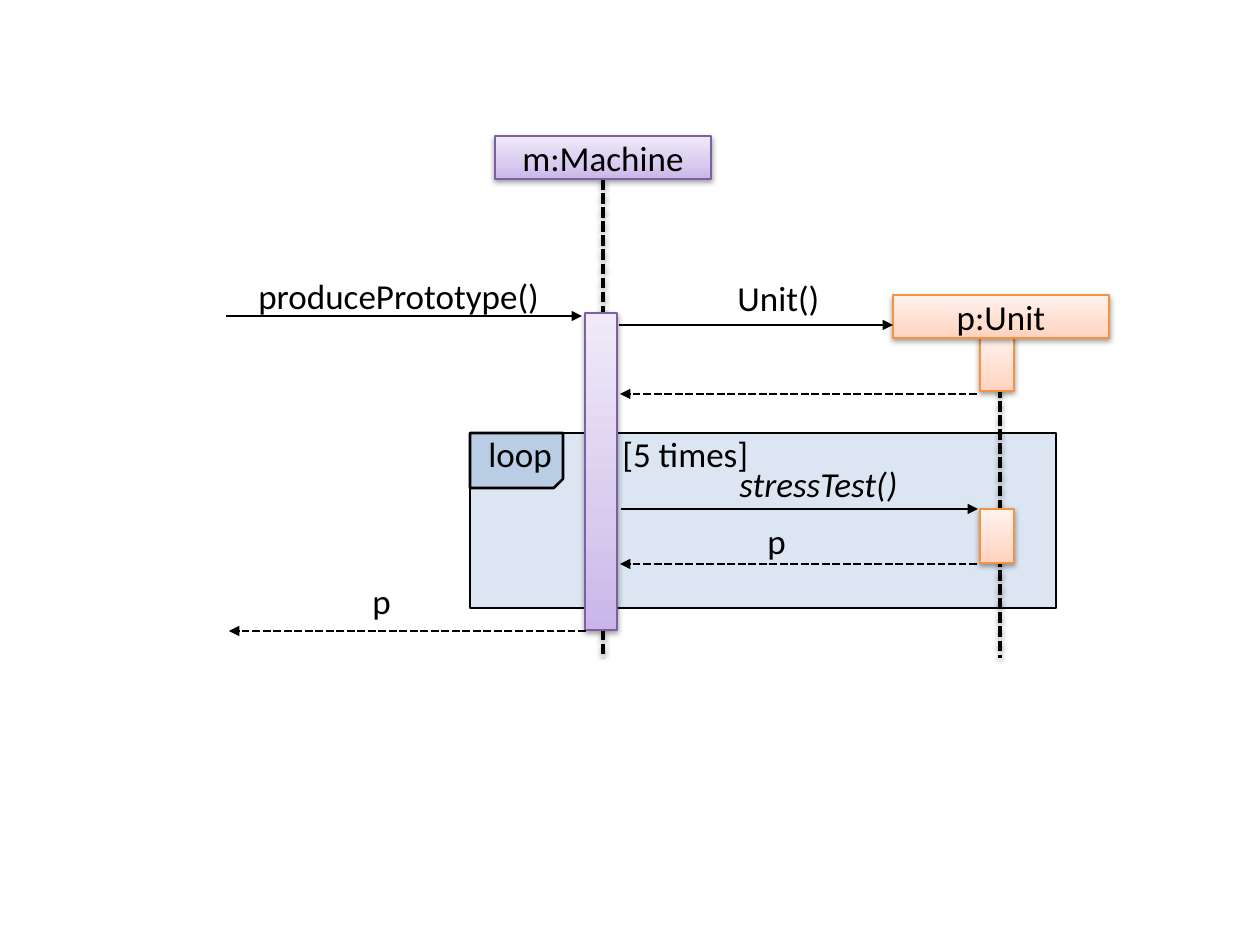
"""Build a UML sequence diagram of a machine that produces and tests a prototype unit."""
from copy import deepcopy

from lxml.etree import SubElement
from pptx import Presentation
from pptx.dml.color import RGBColor as Rgb
from pptx.enum.dml import MSO_LINE as Dash
from pptx.enum.shapes import MSO_CONNECTOR as Connector, MSO_SHAPE as Shape
from pptx.enum.text import MSO_ANCHOR as Anchor, MSO_AUTO_SIZE as AutoSize, PP_ALIGN as Align
from pptx.oxml.ns import qn
from pptx.util import Emu, Pt

PX = 914400 / 126
COLORS = {
    "ink": "000000",
    "frame": "DCE6F2",
    "tab": "B9CDE5",
    "machine": ["C9B5E8", "D8CBEE", "F0EAF9"],
    "machine_line": "7D60A0",
    "unit": ["FFD2BD", "FFDED0", "FFF2ED"],
    "unit_line": "F69240",
}
FONT = {"name": "Calibri", "size": Pt(20)}


def add_shadow(effects):
    shadow = SubElement(effects, qn("a:outerShdw"), blurRad="40000", dist="20000",
                        dir="5400000", rotWithShape="0")
    color = SubElement(shadow, qn("a:srgbClr"), val=COLORS["ink"])
    SubElement(color, qn("a:alpha"), val="38000")


def add_line(start, end, width, dashed):
    points = [Emu(round(value * PX)) for value in (*start, *end)]
    connector = page.shapes.add_connector(Connector.STRAIGHT, *points)
    connector.line.color.rgb = Rgb.from_string(COLORS["ink"])
    connector.line.width = Pt(width)
    if dashed:
        connector.line.dash_style = Dash.SQUARE_DOT
    effects = SubElement(connector._element.spPr, qn("a:effectLst"))
    return connector, effects


deck = Presentation()
deck.slide_width, deck.slide_height = Emu(round(1260 * PX)), Emu(round(945 * PX))
page = deck.slides.add_slide(deck.slide_layouts[6])

for kind, color, area in [
    (Shape.RECTANGLE, "frame", (470, 433, 586, 175)),
    (Shape.SNIP_1_RECTANGLE, "tab", (470, 433, 93, 55)),
]:
    panel = page.shapes.add_shape(kind, *[Emu(round(value * PX)) for value in area])
    panel.shadow.inherit = False
    panel.fill.solid()
    panel.fill.fore_color.rgb = Rgb.from_string(COLORS[color])
    panel.line.color.rgb = Rgb.from_string(COLORS["ink"])
    panel.line.width = Pt(1.5)
panel._element.spPr.xfrm.set("flipV", "1")

lifelines = []
for x, top in [(603, 179), (1000, 387)]:
    lifeline, effects = add_line((x, top), (x, 658), 2, True)
    add_shadow(effects)
    lifelines.append(lifeline)

boxes = {}
for name, color, text, area in [
    ("machine head", "machine", "m:Machine", (495, 136, 216, 43)),
    ("machine run", "machine", "", (585, 313, 32, 317)),
    ("unit creation", "unit", "", (980, 337, 34, 54)),
    ("unit test", "unit", "", (980, 509, 34, 54)),
    ("unit head", "unit", "p:Unit", (893, 295, 216, 43)),
]:
    box = page.shapes.add_shape(Shape.RECTANGLE, *[Emu(round(value * PX)) for value in area])
    boxes[name] = box
    box.fill.gradient()
    box.fill.gradient_angle = 90
    stop_list = box._element.spPr.find(".//" + qn("a:gsLst"))
    stop_list.insert(1, deepcopy(stop_list[0]))
    for stop, position, shade in zip(box.fill.gradient_stops, (0, 0.35, 1), COLORS[color]):
        stop.position = position
        stop.color.rgb = Rgb.from_string(shade)
    box.line.color.rgb = Rgb.from_string(COLORS[color + "_line"])
    box.line.width = Pt(0.75)
    box.shadow.inherit = False
    add_shadow(box._element.spPr.find(qn("a:effectLst")))
    if text:
        frame = box.text_frame
        for side in ("left", "top", "right", "bottom"):
            setattr(frame, "margin_" + side, 0)
        para = frame.paragraphs[0]
        para.alignment = Align.CENTER
        span = para.add_run()
        span.text = text
        span.font.color.rgb = Rgb.from_string(COLORS["ink"])
        for key, value in FONT.items():
            setattr(span.font, key, value)
lifelines[0].begin_connect(boxes["machine head"], 2)

for start, end, y, dashed in [
    (226, 582, 316, False),
    (619, 893, 325, False),
    (977, 620, 394, True),
    (621, 978, 509, False),
    (977, 620, 564, True),
    (586, 229, 631, True),
]:
    message, effects = add_line((start, y), (end, y), 1.5, dashed)
    SubElement(message._element.spPr.find(qn("a:ln")), qn("a:tailEnd"), type="triangle")

for text, area, italic in [
    ("producePrototype()", (246, 268, 314, 55), False),
    ("Unit()", (725, 270, 144, 55), False),
    ("stressTest()", (727, 456, 185, 55), True),
    ("p", (755, 513, 48, 55), False),
    ("p", (360, 573, 48, 55), False),
    ("loop\t[5 times]", (476, 427, 416, 53), False),
]:
    label = page.shapes.add_textbox(*[Emu(round(value * PX)) for value in area])
    frame = label.text_frame
    para = frame.paragraphs[0]
    if "\t" in text:
        frame.word_wrap = True
        frame.vertical_anchor = Anchor.MIDDLE
        tabs = SubElement(para._p.get_or_add_pPr(), qn("a:tabLst"))
        SubElement(tabs, qn("a:tab"), pos=str(round(134 * PX)), algn="l")
    else:
        frame.word_wrap = False
        frame.auto_size = AutoSize.SHAPE_TO_FIT_TEXT
    span = para.add_run()
    span.text = text
    span.font.color.rgb = Rgb.from_string(COLORS["ink"])
    for key, value in {**FONT, "italic": italic}.items():
        setattr(span.font, key, value)

deck.save("out.pptx")
